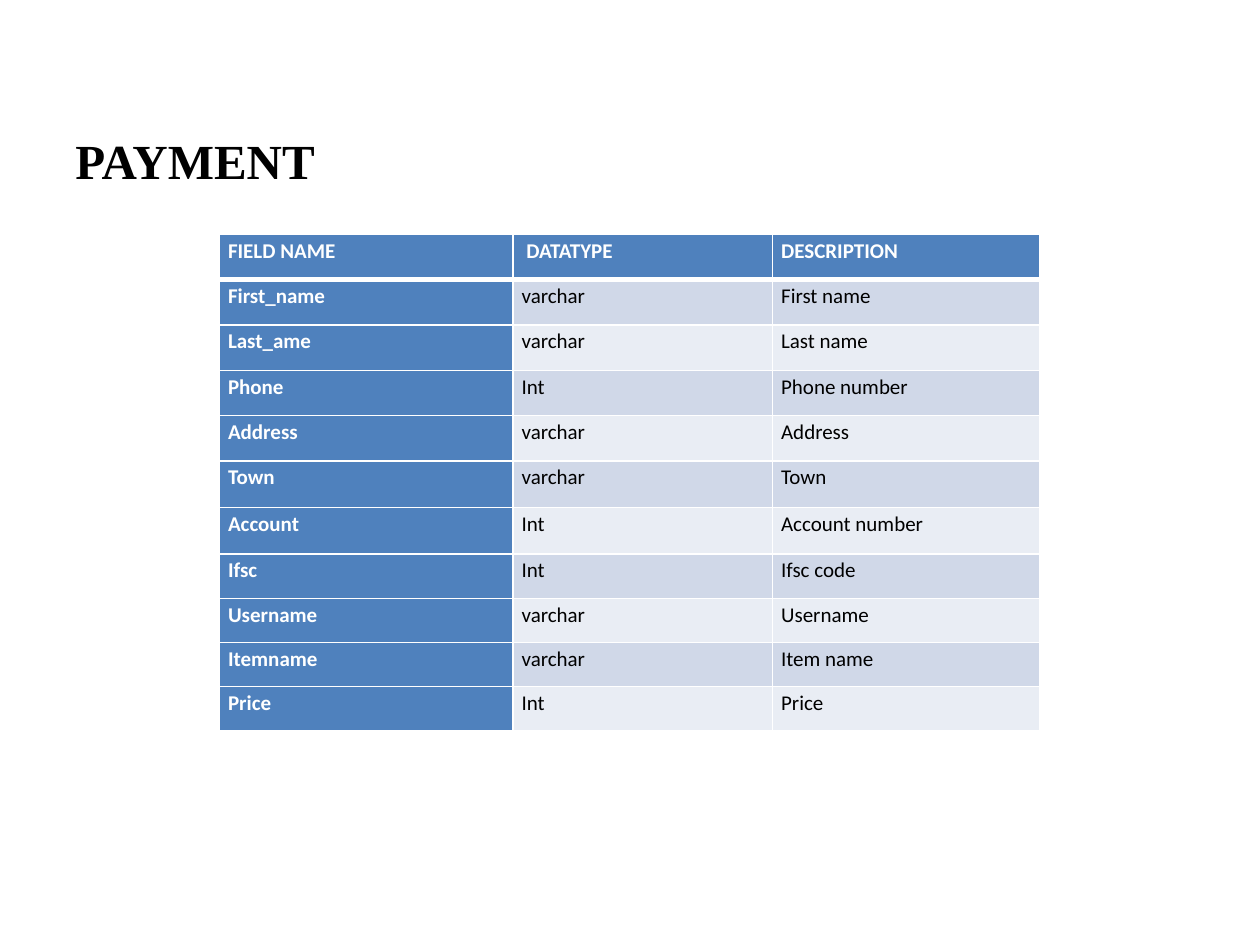
from lxml import etree
from pptx import Presentation
from pptx import util as u
from pptx.dml.color import RGBColor
from pptx.oxml.ns import qn

BLUE = RGBColor(0x4F, 0x81, 0xBD)
BANDS = [RGBColor(0xE9, 0xED, 0xF4), RGBColor(0xD0, 0xD8, 0xE8)]
WHITE = RGBColor(0xFF, 0xFF, 0xFF)
BLACK = RGBColor(0, 0, 0)

FIELDS = [
    ("FIELD NAME", " DATATYPE", "DESCRIPTION"),
    ("First_name", "varchar", "First name"),
    ("Last_ame", "varchar", "Last name"),
    ("Phone", "Int", "Phone number"),
    ("Address", "varchar", "Address"),
    ("Town", "varchar", "Town"),
    ("Account", "Int", "Account number"),
    ("Ifsc", "Int", "Ifsc code"),
    ("Username", "varchar", "Username"),
    ("Itemname", "varchar", "Item name"),
    ("Price", "Int", "Price"),
]
COLUMN_WIDTHS = [2.33, 2.06, 2.12]
ROW_HEIGHTS = [0.36] * 5 + [0.37] * 2 + [0.35] * 4
CELL_FORMAT = {"margin_left": u.Inches(0.07), "margin_right": u.Inches(0.07),
               "margin_top": 0, "margin_bottom": 0}


def write(paragraph, wording, **font_format):
    run = paragraph.add_run()
    run.text = wording
    run.font.color.rgb = font_format.pop("color")
    for key, value in font_format.items():
        setattr(run.font, key, value)


def add_borders(cell, widths):
    """Put white lines of the given point widths before the cell's fill."""
    properties = cell._tc.get_or_add_tcPr()
    for place, (side, width) in enumerate(widths.items()):
        line = etree.Element(qn(f"a:ln{side}"), w=str(u.Pt(width)))
        fill = etree.SubElement(line, qn("a:solidFill"))
        etree.SubElement(fill, qn("a:srgbClr"), val=str(WHITE))
        properties.insert(place, line)


deck = Presentation()
deck.slide_width, deck.slide_height = u.Inches(10), u.Inches(7.5)
slide = deck.slides.add_slide(deck.slide_layouts[6])

heading = slide.shapes.add_textbox(
    u.Inches(0.5), u.Inches(0.99), u.Inches(9), u.Inches(5.71)).text_frame
heading.word_wrap = True
heading.paragraphs[0].space_before = u.Pt(5.6)
write(heading.paragraphs[0], "PAYMENT", name="Times New Roman",
      size=u.Pt(28), bold=True, color=BLACK)

payment = slide.shapes.add_table(
    len(FIELDS), len(COLUMN_WIDTHS), u.Inches(1.74), u.Inches(1.86),
    u.Inches(sum(COLUMN_WIDTHS)), u.Inches(sum(ROW_HEIGHTS))).table
payment.first_col = True
for column, width in zip(payment.columns, COLUMN_WIDTHS):
    column.width = u.Inches(width)
for row, height in zip(payment.rows, ROW_HEIGHTS):
    row.height = u.Inches(height)

for r, field in enumerate(FIELDS):
    for c, wording in enumerate(field):
        cell = payment.cell(r, c)
        is_header = r == 0 or c == 0
        for key, value in CELL_FORMAT.items():
            setattr(cell, key, value)
        cell.fill.solid()
        cell.fill.fore_color.rgb = BLUE if is_header else BANDS[r % 2]
        add_borders(cell, {"L": 1, "R": 1, "T": 3 if r == 1 else 1,
                           "B": 3 if r == 0 else 1})
        paragraph = cell.text_frame.paragraphs[0]
        paragraph.line_spacing = 1.15
        write(paragraph, wording, name="Calibri", size=u.Pt(12),
              bold=is_header, color=WHITE if is_header else BLACK)

deck.save("out.pptx")
